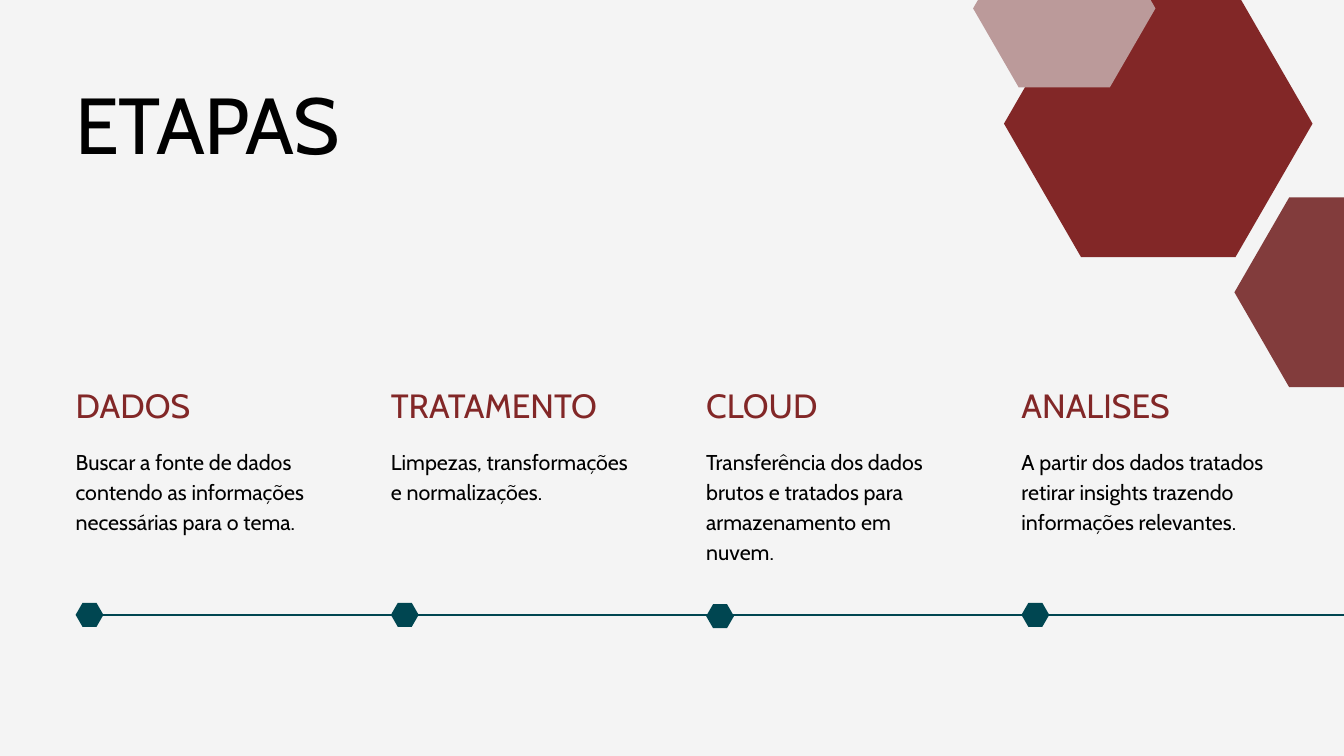
from math import sqrt
from pptx import Presentation as Deck
from pptx.dml.color import RGBColor as RGB
from pptx.enum.shapes import MSO_CONNECTOR as Link, MSO_SHAPE as Shape
from pptx.enum.text import MSO_AUTO_SIZE as Fit, MSO_ANCHOR as Anchor
from pptx.oxml.ns import qn
from pptx.util import Pt
from lxml.etree import SubElement

HUES = {
    "back": "F4F4F4", "ink": "000000", "wine": "822727",
    "plum": "823C3C", "rose": "BB9A9A", "teal": "004651",
}
FRAME = {
    "margin_left": 0, "margin_top": 0, "margin_right": 0, "margin_bottom": 0,
    "word_wrap": True, "auto_size": Fit.SHAPE_TO_FIT_TEXT,
    "vertical_anchor": Anchor.TOP,
}
TITLE = {"size": 85, "lead": 102, "hue": "ink", "track": -0.8}
HEAD = {"size": 36, "lead": 43.2, "hue": "wine"}
BODY = {"size": 23, "lead": 32.2, "hue": "ink"}
LEFT, STEP, WIDE = 81, 337.8, 265
AXIS = 658.8
STEPS = [
    ("DADOS", ["Buscar a fonte de dados contendo as informações necessárias para o tema."], 0),
    ("TRATAMENTO", ["Limpezas, transformações", "e normalizações."], 0),
    ("CLOUD", ["Transferência dos dados brutos e tratados para armazenamento em nuvem."], 1.4),
    ("ANALISES", ["A partir dos dados tratados retirar insights trazendo informações relevantes."], 0),
]
DECOR = [
    (1322.6, 313.2, 234.8, "plum"),
    (1075.7, 132.5, 330.6, "wine"),
    (1042.6, 9, 195.4, "rose"),
]


def tint(name):
    return RGB.from_string(HUES[name])


def add_text(slide, left, top, width, height, lines, style):
    box = slide.shapes.add_textbox(Pt(left), Pt(top), Pt(width), Pt(height))
    frame = box.text_frame
    for key, value in FRAME.items():
        setattr(frame, key, value)
    frame.text = "\n".join(lines)
    for para in frame.paragraphs:
        para.line_spacing = Pt(style["lead"])
        run = para.runs[0]
        look = {"name": "Cabin", "size": Pt(style["size"])}
        for key, value in look.items():
            setattr(run.font, key, value)
        run.font.color.rgb = tint(style["hue"])
        if "track" in style:
            run.font._element.set("spc", str(round(style["track"] * 100)))


def add_hex(slide, left, mid, width, hue):
    height = width * sqrt(3) / 2
    hexa = slide.shapes.add_shape(
        Shape.HEXAGON, Pt(left), Pt(mid - height / 2), Pt(width), Pt(height))
    hexa.adjustments[0] = width / 4 / height
    hexa.shadow.inherit = False
    hexa.fill.solid()
    hexa.fill.fore_color.rgb = tint(hue)
    hexa.line.fill.background()


def add_line(slide, start, end, level):
    line = slide.shapes.add_connector(
        Link.STRAIGHT, Pt(start), Pt(level), Pt(end), Pt(level))
    line.line.color.rgb = tint("teal")
    line.line.width = Pt(1.5)
    SubElement(line._element.spPr, qn("a:effectLst"))


def add_step(slide, left, head, body, drop):
    add_text(slide, left, 412.6, WIDE, 43.2, [head], HEAD)
    add_text(slide, left, 476.6, WIDE, 124.6, body, BODY)
    add_hex(slide, left, AXIS + drop, 29.8, "teal")


def main():
    deck = Deck()
    deck.slide_width, deck.slide_height = Pt(1440), Pt(810)
    slide = deck.slides.add_slide(deck.slide_layouts[6])
    fill = slide.background.fill
    fill.solid()
    fill.fore_color.rgb = tint("back")

    add_line(slide, 100, 1440, AXIS)
    for i, (head, body, drop) in enumerate(STEPS):
        add_step(slide, LEFT + i * STEP, head, body, drop)
    add_text(slide, LEFT, 81, 448.6, 102, ["ETAPAS"], TITLE)
    for item in DECOR:
        add_hex(slide, *item)
    deck.save("out.pptx")


if __name__ == "__main__":
    main()
